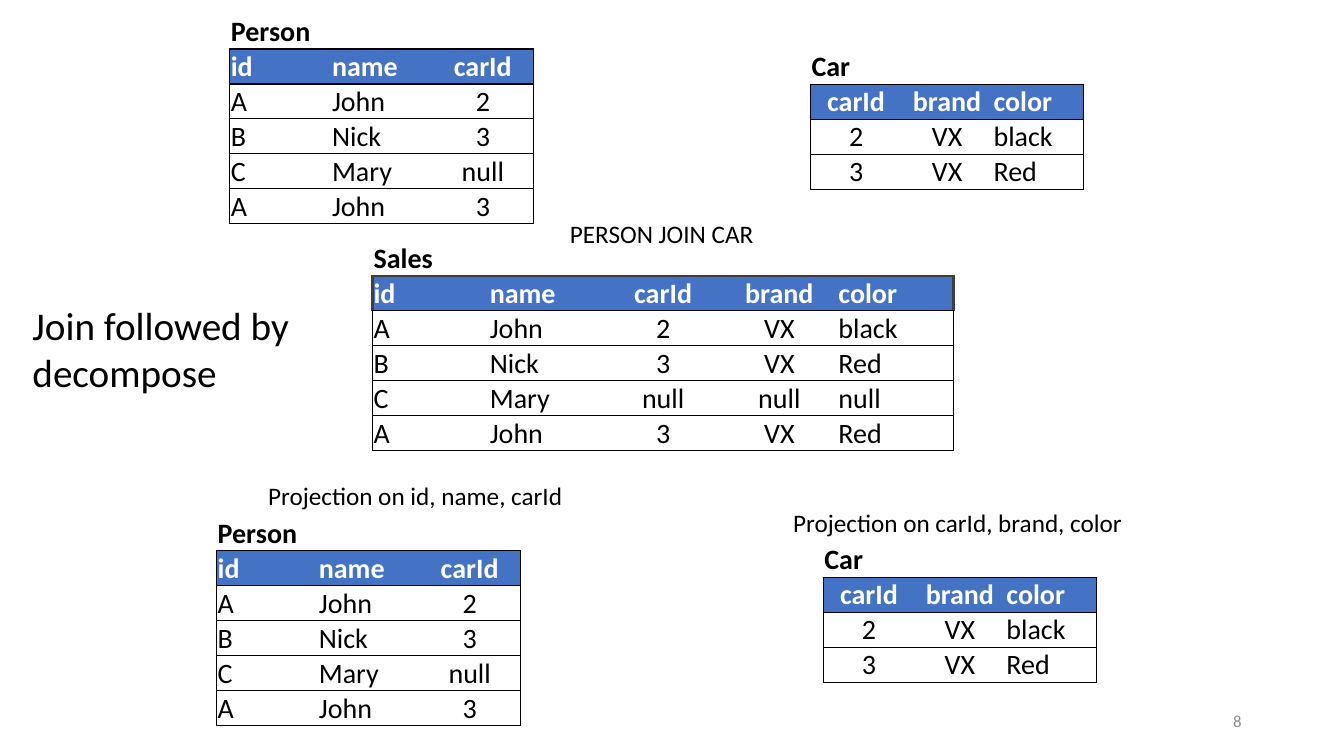
from lxml.etree import SubElement
from pptx import Presentation
from pptx.dml.color import RGBColor
from pptx.enum.text import MSO_ANCHOR as Anchor, MSO_AUTO_SIZE as AutoSize, PP_ALIGN as Align
from pptx.oxml.ns import qn
from pptx.util import Pt

FONT = "Calibri"
BLACK = RGBColor(0x00, 0x00, 0x00)
WHITE = RGBColor(0xFF, 0xFF, 0xFF)
BLUE = RGBColor(0x44, 0x72, 0xC4)
CHARCOAL = RGBColor(0x3F, 0x3F, 0x3F)
GRAY = RGBColor(0x8C, 0x8C, 0x8C)

ROW_HEIGHT = 25
CENTERED = {"carId", "brand"}
THIN = (BLACK, 1)
THICK = (CHARCOAL, 2)

PERSON = [
    ("id", "name", "carId"),
    ("A", "John", "2"),
    ("B", "Nick", "3"),
    ("C", "Mary", "null"),
    ("A", "John", "3"),
]
CAR = [
    ("carId", "brand", "color"),
    ("2", "VX", "black"),
    ("3", "VX", "Red"),
]
SALES = [
    ("id", "name", "carId", "brand", "color"),
    ("A", "John", "2", "VX", "black"),
    ("B", "Nick", "3", "VX", "Red"),
    ("C", "Mary", "null", "null", "null"),
    ("A", "John", "3", "VX", "Red"),
]


def set_font(paragraph, size, color, bold=False):
    font = paragraph.font
    font.name, font.size, font.bold = FONT, Pt(size), bold
    font.color.rgb = color


def add_label(slide, text, left, top, width, size=18, color=BLACK, align=Align.LEFT):
    label = slide.shapes.add_textbox(Pt(left), Pt(top), Pt(width), Pt(29))
    frame = label.text_frame
    frame.word_wrap = align == Align.RIGHT
    frame.vertical_anchor = Anchor.MIDDLE
    paragraph = frame.paragraphs[0]
    paragraph.text, paragraph.alignment = text, align
    set_font(paragraph, size, color)


def set_border(cell, side, border):
    """Draw one side of a cell, or hide it when border is None."""
    line = SubElement(cell._tc.get_or_add_tcPr(), qn(f"a:ln{side}"))
    if border is None:
        line.set("w", "0")
        SubElement(line, qn("a:noFill"))
        return
    color, width = border
    line.set("w", str(Pt(width)))
    SubElement(SubElement(line, qn("a:solidFill")), qn("a:srgbClr")).set("val", str(color))


def add_relation(slide, name, records, left, top, column_width, header_border=THIN):
    """Add a table with a name row, a blue header row and ruled data rows."""
    header = records[0]
    rows = [(name,) + ("",) * (len(header) - 1)] + records
    table = slide.shapes.add_table(
        len(rows), len(header), Pt(left), Pt(top),
        Pt(column_width * len(header)), Pt(ROW_HEIGHT * len(rows))).table
    table.first_row = table.horz_banding = False
    for column in table.columns:
        column.width = Pt(column_width)

    # Horizontal rules: rule n lies above row n
    rules = [None, header_border] + [THIN] * len(records)
    for r, values in enumerate(rows):
        table.rows[r].height = Pt(ROW_HEIGHT)
        side_border = rules[r]
        for c, value in enumerate(values):
            cell = table.cell(r, c)
            cell.margin_left = cell.margin_right = cell.margin_top = Pt(0.7)
            cell.margin_bottom = 0
            cell.vertical_anchor = Anchor.BOTTOM
            set_border(cell, "L", side_border if c == 0 else None)
            set_border(cell, "R", side_border if c == len(header) - 1 else None)
            set_border(cell, "T", rules[r])
            set_border(cell, "B", rules[r + 1])
            if r == 1:
                cell.fill.solid()
                cell.fill.fore_color.rgb = BLUE
            else:
                cell.fill.background()
            paragraph = cell.text_frame.paragraphs[0]
            paragraph.text = value
            if r > 0 and header[c] in CENTERED:
                paragraph.alignment = Align.CENTER
            set_font(paragraph, 20, WHITE if r == 1 else BLACK, bold=r < 2)


def place_title(slide, text):
    title = slide.shapes.title
    title.left, title.top, title.width, title.height = Pt(16), Pt(211.5), Pt(267), Pt(75)
    frame = title.text_frame
    frame.word_wrap = True
    frame.auto_size = AutoSize.NONE
    frame.vertical_anchor = Anchor.TOP
    paragraph = frame.paragraphs[0]
    paragraph.text, paragraph.alignment = text, Align.LEFT
    set_font(paragraph, 28, BLACK)


def main():
    deck = Presentation()
    deck.slide_width, deck.slide_height = Pt(960), Pt(540)
    slide = deck.slides.add_slide(deck.slide_layouts[5])
    place_title(slide, "Join followed by decompose")

    # Operations
    add_label(slide, "PERSON JOIN CAR", 400, 152, 148)
    add_label(slide, "Projection on id, name, carId", 184.5, 339.5, 227.5)
    add_label(slide, "Projection on carId, brand, color", 559.5, 358.5, 253)

    # Source relations, their join and its projections
    add_relation(slide, "Person", PERSON, 164.2, 10, 72.3)
    add_relation(slide, "Car", CAR, 579, 35.2, 65)
    add_relation(slide, "Sales", SALES, 266.2, 172, 83, header_border=THICK)
    add_relation(slide, "Car", CAR, 588.2, 387.4, 65)
    add_relation(slide, "Person", PERSON, 154.8, 368.4, 72.3)

    # Slide number
    add_label(slide, "8", 678, 500.5, 216, size=12, color=GRAY, align=Align.RIGHT)
    deck.save("out.pptx")


if __name__ == "__main__":
    main()
